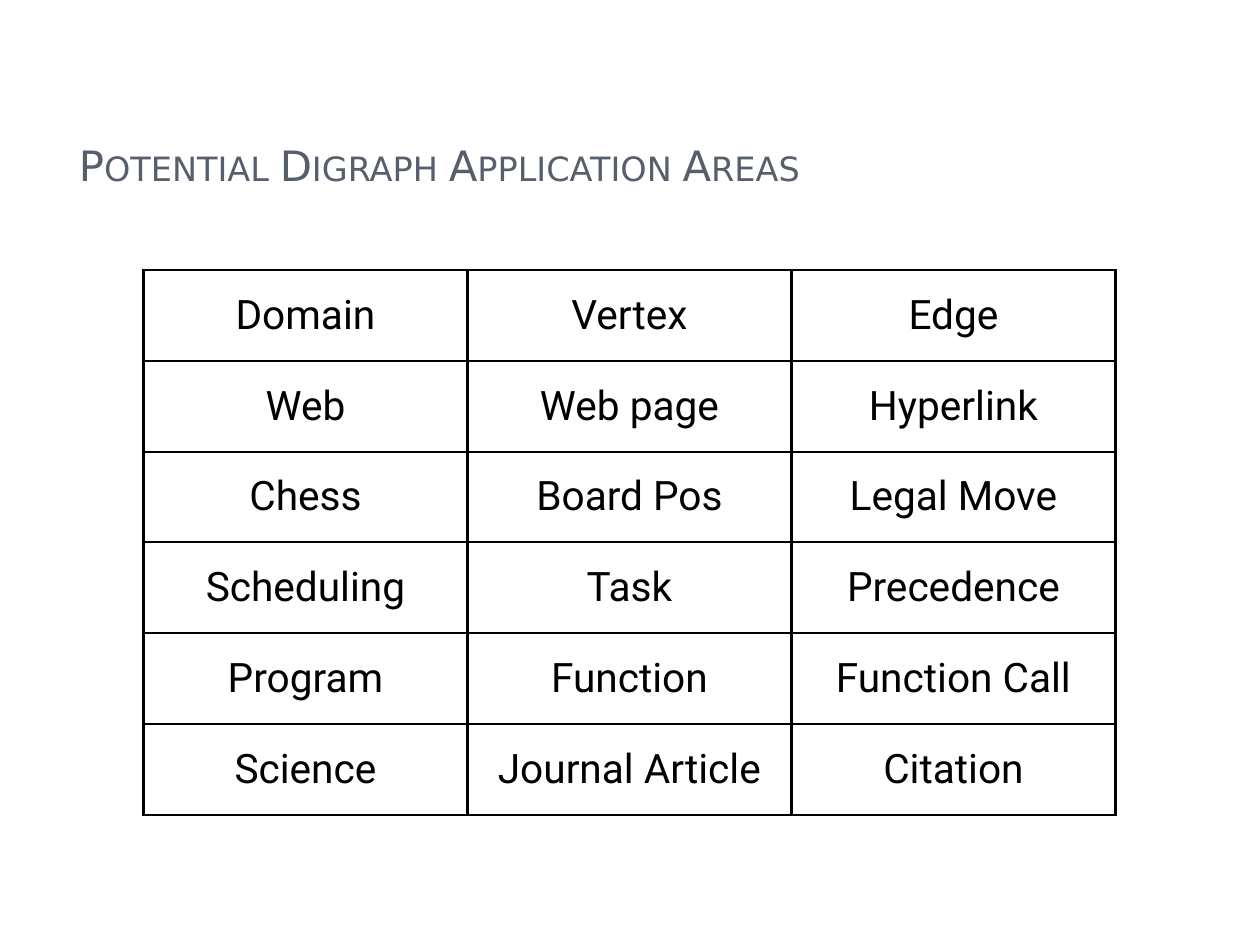
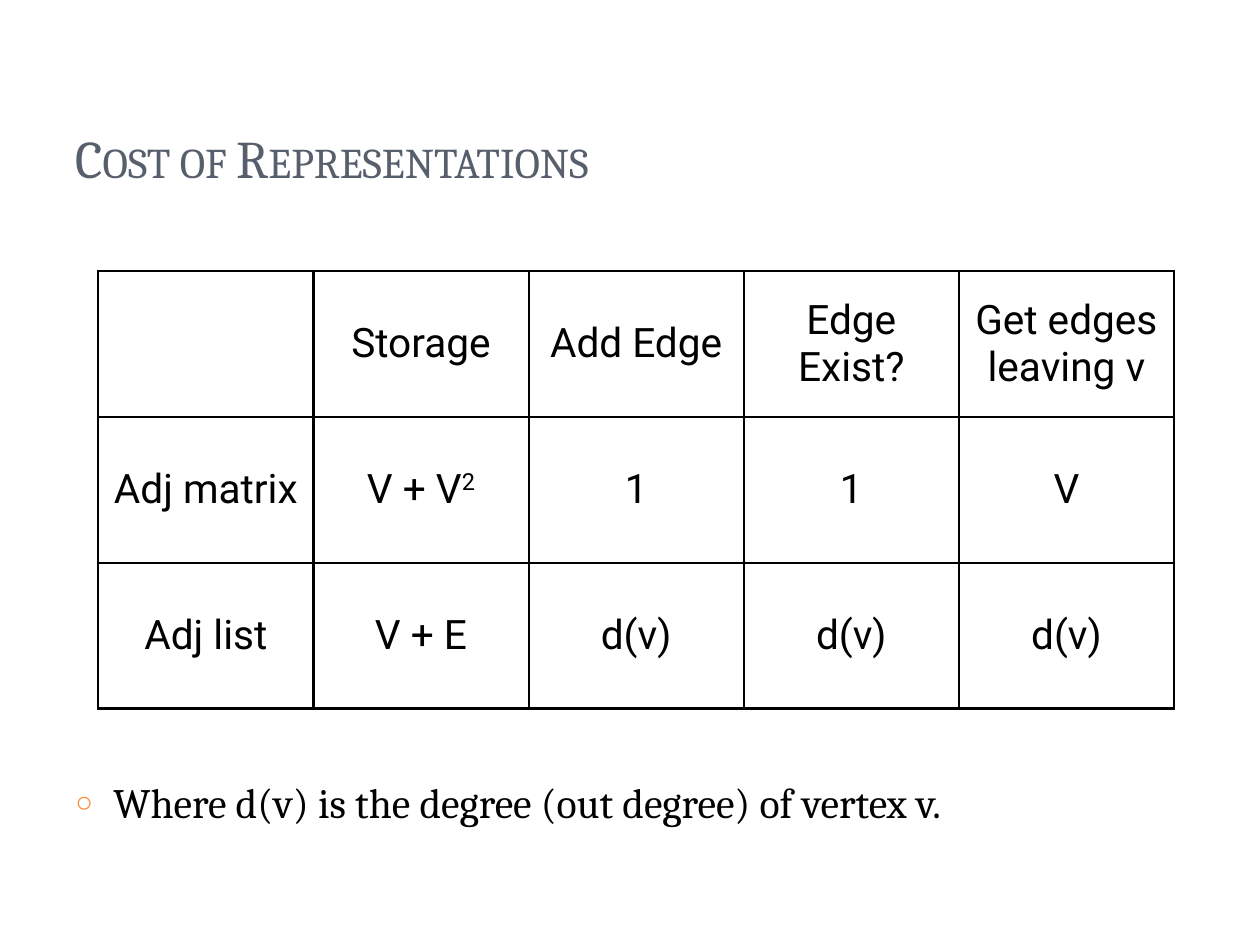
from dataclasses import dataclass

from lxml.etree import SubElement
from pptx import Presentation
from pptx.dml.color import RGBColor
from pptx.enum.text import MSO_ANCHOR as Anchor, PP_ALIGN as Align
from pptx.oxml.ns import qn
from pptx.util import Inches, Pt

BLACK, WHITE, SLATE, ORANGE = "000000", "FFFFFF", "575F6D", "FE8637"
TITLE_ONLY, TITLE_AND_BODY = 5, 1
TITLE_BOX = (0.71, 0.43, 11.61, 1.78)
BODY_BOX = (0.71, 2.49, 11.61, 7.58)
CELL_MARGIN = 0.06
BORDER_WIDTH = 2


@dataclass(frozen=True)
class TextStyle:
    """Font, size in points and colour of a run."""
    font: str
    size: float
    color: str


@dataclass(frozen=True)
class Grid:
    """A table of equal cells; ^ in a text starts a superscript."""
    box: tuple[float, float, float, float]
    rows: list[list[str]]


@dataclass(frozen=True)
class TableSlide:
    """One slide: a title, a table and perhaps a bulleted note."""
    title: str
    title_style: TextStyle
    grid: Grid
    title_indent: float = 0
    note: str = ""


CELL_STYLE = TextStyle("Roboto", 33, BLACK)
NOTE_STYLE = TextStyle("Cambria", 34, BLACK)

SLIDES = [
    TableSlide(
        "Potential Digraph Application Areas",
        TextStyle("DejaVu Sans", 34, SLATE),
        Grid((1.62, 3.05, 10.97, 6.15), [
            ["Domain", "Vertex", "Edge"],
            ["Web", "Web page", "Hyperlink"],
            ["Chess", "Board Pos", "Legal Move"],
            ["Scheduling", "Task", "Precedence"],
            ["Program", "Function", "Function Call"],
            ["Science", "Journal Article", "Citation"],
        ]),
        title_indent=0.04,
    ),
    TableSlide(
        "Cost of Representations",
        TextStyle("Cambria", 43, SLATE),
        Grid((1.11, 3.06, 12.14, 4.94), [
            ["", "Storage", "Add Edge", "Edge Exist?", "Get edges leaving v"],
            ["Adj matrix", "V + V^2", "1", "1", "V"],
            ["Adj list", "V + E", "d(v)", "d(v)", "d(v)"],
        ]),
        note="Where d(v) is the degree (out degree) of vertex v.",
    ),
]


def rgb(color: str) -> RGBColor:
    """Turn a hex string into a colour."""
    return RGBColor.from_string(color)


def style_run(run, style: TextStyle) -> None:
    """Apply a text style to a run."""
    run.font.name = style.font
    run.font.size = Pt(style.size)
    run.font.color.rgb = rgb(style.color)


def set_indent(paragraph, left: float, first: float) -> None:
    """Set the left margin and first-line indent in inches."""
    properties = paragraph._p.get_or_add_pPr()
    properties.set("marL", str(Inches(left)))
    properties.set("indent", str(Inches(first)))


def fill_placeholder(shape, box: tuple, text: str, style: TextStyle,
                     bottom: float = 0.07):
    """Place bottom-anchored text in a placeholder; return its paragraph."""
    shape.left, shape.top, shape.width, shape.height = map(Inches, box)
    frame = shape.text_frame
    frame.text = text
    frame.word_wrap = True
    frame.vertical_anchor = Anchor.BOTTOM
    frame.margin_left = frame.margin_right = Inches(0.14)
    frame.margin_top, frame.margin_bottom = Inches(0.07), Inches(bottom)
    paragraph = frame.paragraphs[0]
    paragraph.alignment = Align.LEFT
    style_run(paragraph.runs[0], style)
    return paragraph


def add_title(slide, content: TableSlide) -> None:
    """Write the title in small capitals."""
    paragraph = fill_placeholder(slide.shapes.title, TITLE_BOX,
                                 content.title, content.title_style)
    set_indent(paragraph, content.title_indent, 0)
    paragraph.runs[0].font._element.set("cap", "small")


def add_note(slide, text: str) -> None:
    """Write the bulleted note in the lower part of the body."""
    paragraph = fill_placeholder(slide.placeholders[1], BODY_BOX, text,
                                 NOTE_STYLE, bottom=0.73)
    paragraph.space_before = Pt(8.5)
    set_indent(paragraph, 0.43, -0.43)
    properties = paragraph._p.get_or_add_pPr()
    bullet_color = SubElement(properties, qn("a:buClr"))
    SubElement(bullet_color, qn("a:srgbClr"), val=ORANGE)
    SubElement(properties, qn("a:buSzPct"), val="70000")
    SubElement(properties, qn("a:buChar"), char="○")


def add_borders(cell) -> None:
    """Draw a solid line on the four sides of a cell."""
    properties = cell._tc.get_or_add_tcPr()
    for side in ("lnL", "lnR", "lnT", "lnB"):
        line = SubElement(properties, qn(f"a:{side}"),
                          w=str(Pt(BORDER_WIDTH)))
        fill = SubElement(line, qn("a:solidFill"))
        SubElement(fill, qn("a:srgbClr"), val=BLACK)


def fill_cell(cell, text: str) -> None:
    """Format a cell and write its centred text."""
    add_borders(cell)
    cell.fill.solid()
    cell.fill.fore_color.rgb = rgb(WHITE)
    cell.vertical_anchor = Anchor.MIDDLE
    cell.margin_left = cell.margin_right = Inches(CELL_MARGIN)
    cell.margin_top = cell.margin_bottom = Inches(CELL_MARGIN)
    base, _, superscript = text.partition("^")
    paragraph = cell.text_frame.paragraphs[0]
    paragraph.text = base
    paragraph.alignment = Align.CENTER
    if superscript:
        run = paragraph.add_run()
        run.text = superscript
        run.font._element.set("baseline", "32000")
    for run in paragraph.runs:
        style_run(run, CELL_STYLE)


def add_grid(slide, grid: Grid) -> None:
    """Draw a table whose cells share its box equally."""
    row_count, column_count = len(grid.rows), len(grid.rows[0])
    table = slide.shapes.add_table(row_count, column_count,
                                   *map(Inches, grid.box)).table
    table.first_row = table.horz_banding = False
    for row, texts in zip(table.rows, grid.rows):
        for cell, text in zip(row.cells, texts):
            fill_cell(cell, text)


def add_table_slide(presentation, content: TableSlide) -> None:
    """Build one slide from its content."""
    layout = TITLE_AND_BODY if content.note else TITLE_ONLY
    slide = presentation.slides.add_slide(presentation.slide_layouts[layout])
    add_title(slide, content)
    if content.note:
        add_note(slide, content.note)
    add_grid(slide, content.grid)


def main() -> None:
    """Build and save the presentation."""
    presentation = Presentation()
    presentation.slide_width = Inches(14.22)
    presentation.slide_height = Inches(10.67)
    for content in SLIDES:
        add_table_slide(presentation, content)
    presentation.save("out.pptx")


main()
